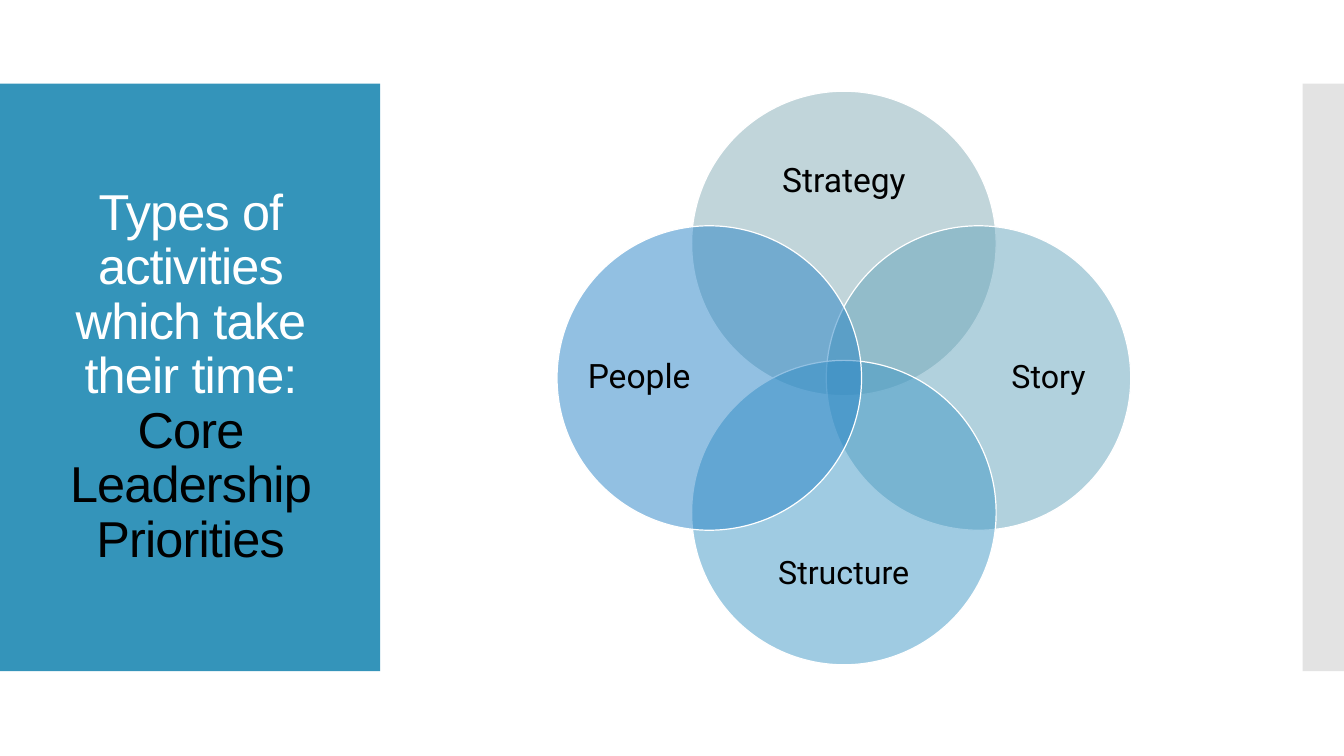
"""Build a slide with a title panel and a four-circle diagram of leadership priorities."""
from lxml.etree import SubElement
from pptx import Presentation
from pptx.dml.color import RGBColor
from pptx.enum.shapes import MSO_SHAPE
from pptx.enum.text import MSO_ANCHOR, PP_ALIGN
from pptx.oxml.ns import qn
from pptx.util import Inches, Pt

WHITE = RGBColor(0xFF, 0xFF, 0xFF)
BLACK = RGBColor(0x00, 0x00, 0x00)
PANEL_BLUE = RGBColor(0x34, 0x94, 0xBA)
EDGE_GREY = RGBColor(0xC8, 0xC8, 0xC8)
SAGE = RGBColor(0x84, 0xAC, 0xB6)
TEAL = RGBColor(0x64, 0xA4, 0xBC)
SKY = RGBColor(0x40, 0x98, 0xC6)
BLUE = RGBColor(0x26, 0x83, 0xC6)

deck = Presentation()
deck.slide_width, deck.slide_height = Inches(13.33), Inches(7.5)
page = deck.slides.add_slide(deck.slide_layouts[6])


def add_filled(preset, left, top, width, height, color, opacity=100):
    shape = page.shapes.add_shape(
        preset, Inches(left), Inches(top), Inches(width), Inches(height))
    shape.shadow.inherit = False
    shape.fill.solid()
    shape.fill.fore_color.rgb = color
    shape.line.fill.background()
    if opacity < 100:
        color_node = shape._element.spPr.find(qn("a:solidFill"))[0]
        SubElement(color_node, qn("a:alpha"), val=str(opacity * 1000))
    return shape


def add_text(left, top, width, height, spans, font, size, margin=0, spacing=0):
    box = page.shapes.add_textbox(
        Inches(left), Inches(top), Inches(width), Inches(height))
    frame = box.text_frame
    frame.word_wrap = True
    frame.vertical_anchor = MSO_ANCHOR.MIDDLE
    frame.margin_left = frame.margin_right = Inches(margin)
    frame.margin_top = frame.margin_bottom = Inches(margin / 2)
    para = frame.paragraphs[0]
    para.alignment = PP_ALIGN.CENTER
    para.line_spacing = 0.9
    for text, color in spans:
        span = para.add_run()
        span.text = text
        span.font.name = font
        span.font.size = Pt(size)
        span.font.color.rgb = color
        if spacing:
            span.font._element.set("spc", str(spacing))


add_filled(MSO_SHAPE.RECTANGLE, 0, 0.83, 3.77, 5.83, PANEL_BLUE)
add_filled(MSO_SHAPE.RECTANGLE, 12.92, 0.83, 0.41, 5.83, EDGE_GREY, 50)
title_spans = [
    ("Types of activities which take their time: ", WHITE),
    ("Core Leadership Priorities", BLACK),
]
add_text(0.28, 1.23, 3.22, 5.03, title_spans, "Arial", 36, margin=0.1, spacing=-60)

CENTER_X, CENTER_Y = 8.37, 3.75
DIAMETER, CIRCLE_OFFSET, LABEL_OFFSET = 3.02, 1.335, 1.95
LABEL_LONG, LABEL_SHORT = 2.32, 0.96
SIDE_LABEL_WIDTH, SIDE_LABEL_OFFSET = 1.16, 2.03

priorities = [
    ("Strategy", 0, -1, SAGE, 24),
    ("Story", 1, 0, TEAL, 23),
    ("Structure", 0, 1, SKY, 23),
    ("People", -1, 0, BLUE, 24),
]
for name, across, down, color, size in priorities:
    circle = add_filled(
        MSO_SHAPE.OVAL,
        CENTER_X + across * CIRCLE_OFFSET - DIAMETER / 2,
        CENTER_Y + down * CIRCLE_OFFSET - DIAMETER / 2,
        DIAMETER, DIAMETER, color, 50)
    circle.line.color.rgb = WHITE
    circle.line.width = Pt(0.85)
    width, height = (
        (SIDE_LABEL_WIDTH, LABEL_LONG) if across else (LABEL_LONG, LABEL_SHORT))
    add_text(
        CENTER_X + across * SIDE_LABEL_OFFSET - width / 2,
        CENTER_Y + down * LABEL_OFFSET - height / 2,
        width, height, [(name, BLACK)], "Roboto", size)

deck.save("out.pptx")
